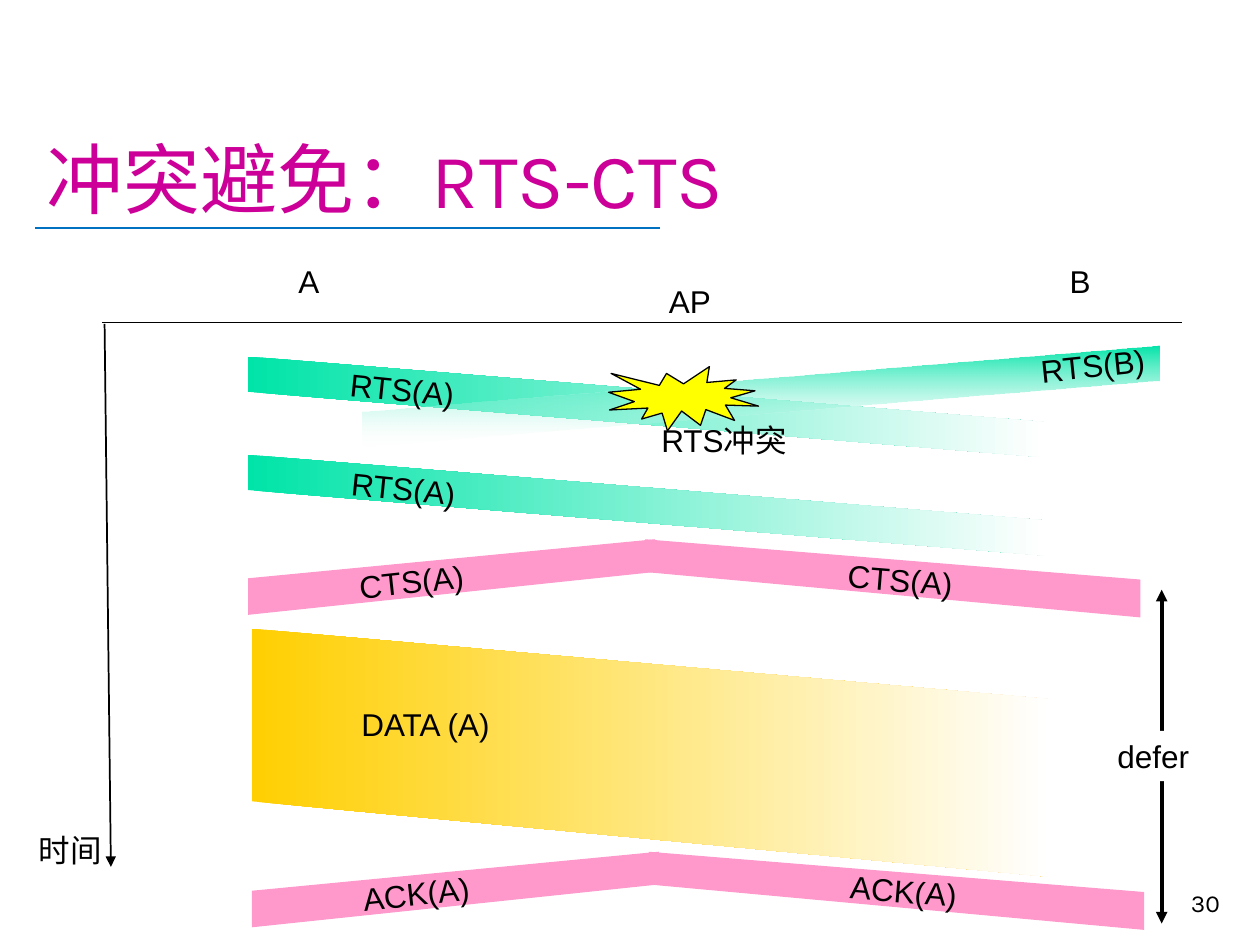
from dataclasses import dataclass
from typing import Optional

from lxml import etree
from pptx import Presentation, util as u
from pptx.dml.color import RGBColor
from pptx.enum import shapes as s, text as t
from pptx.oxml.ns import qn

PX = 9144  # EMU per px, 100 px to the inch

BLACK = RGBColor(0x00, 0x00, 0x00)
WHITE = RGBColor(0xFF, 0xFF, 0xFF)
MAGENTA = RGBColor(0xCC, 0x00, 0x99)
BLUE = RGBColor(0x00, 0x70, 0xC0)
GREEN = RGBColor(0x00, 0xE4, 0xA8)
GOLD = RGBColor(0xFF, 0xCF, 0x01)
PINK = RGBColor(0xFF, 0x99, 0xCC)
YELLOW = RGBColor(0xFF, 0xFF, 0x00)


@dataclass
class Label:
    words: str
    left: int
    top: int
    width: int
    turn: float = 0
    wrap: bool = False


@dataclass
class Frame:
    """A slanted band between two stations; each side is (x, top, bottom)."""
    sender: tuple
    receiver: tuple
    color: RGBColor
    fade_angle: Optional[int] = None
    end_alpha: Optional[int] = None  # percent


@dataclass
class Line:
    start: tuple
    end: tuple
    color: RGBColor
    weight: float
    head: bool = False
    tail: bool = False


def style(paragraph, size: int, font: str, color: RGBColor) -> None:
    for run in paragraph.runs:
        run.font.size = u.Pt(size)
        run.font.name = font
        run.font.color.rgb = color


def draw_label(slide, label: Label):
    box = slide.shapes.add_textbox(label.left * PX, label.top * PX,
                                   label.width * PX, 40 * PX)
    box.rotation = label.turn
    frame = box.text_frame
    frame.word_wrap = label.wrap
    frame.auto_size = t.MSO_AUTO_SIZE.SHAPE_TO_FIT_TEXT
    frame.text = label.words
    style(frame.paragraphs[0], 18, "Arial", BLACK)
    return box


def draw_frame(slide, frame: Frame) -> None:
    (x1, top1, bottom1), (x2, top2, bottom2) = frame.sender, frame.receiver
    builder = slide.shapes.build_freeform(x1, top1, scale=PX)
    builder.add_line_segments([(x2, top2), (x2, bottom2), (x1, bottom1)])
    band = builder.convert_to_shape()
    band.shadow.inherit = False
    band.line.fill.background()
    if frame.fade_angle is None:
        band.fill.solid()
        band.fill.fore_color.rgb = frame.color
        return
    band.fill.gradient()
    band.fill.gradient_angle = frame.fade_angle
    for stop, color, position in zip(band.fill.gradient_stops,
                                     (frame.color, WHITE), (0, 1)):
        stop.color.rgb = color
        stop.position = position
    if frame.end_alpha is not None:
        last_color = list(band._element.spPr.iter(qn("a:srgbClr")))[-1]
        etree.SubElement(last_color, qn("a:alpha"), val=str(frame.end_alpha * 1000))


def draw_line(slide, line: Line) -> None:
    (x1, y1), (x2, y2) = line.start, line.end
    connector = slide.shapes.add_connector(
        s.MSO_CONNECTOR.STRAIGHT, x1 * PX, y1 * PX, x2 * PX, y2 * PX)
    connector.line.color.rgb = line.color
    connector.line.width = u.Pt(line.weight)
    ln = connector.line._get_or_add_ln()
    for tag, wanted in (("a:headEnd", line.head), ("a:tailEnd", line.tail)):
        if wanted:
            etree.SubElement(ln, qn(tag), type="triangle")
    etree.SubElement(connector._element.spPr, qn("a:effectLst"))


def draw_title(slide) -> None:
    title = slide.shapes.title
    title.left, title.top, title.width, title.height = (
        n * PX for n in (27, 23, 951, 160))
    frame = title.text_frame
    frame.text = "冲突避免：RTS-CTS"
    frame.auto_size = t.MSO_AUTO_SIZE.NONE
    frame.vertical_anchor = t.MSO_ANCHOR.BOTTOM
    frame.paragraphs[0].alignment = t.PP_ALIGN.LEFT
    style(frame.paragraphs[0], 44, "Karla", MAGENTA)


def draw_page_number(slide) -> None:
    box = slide.shapes.add_textbox(770 * PX, 683 * PX, 208 * PX, 50 * PX)
    frame = box.text_frame
    frame.word_wrap = True
    frame.vertical_anchor = t.MSO_ANCHOR.BOTTOM
    frame.text = "30"
    frame.paragraphs[0].alignment = t.PP_ALIGN.RIGHT
    style(frame.paragraphs[0], 14, "Karla", BLACK)


def draw_collision(slide) -> None:
    burst = slide.shapes.add_shape(s.MSO_SHAPE.EXPLOSION1, 483 * PX, 291 * PX,
                                   119 * PX, 51 * PX)
    burst.shadow.inherit = False
    burst.fill.solid()
    burst.fill.fore_color.rgb = YELLOW
    burst.line.color.rgb = BLACK
    burst.line.width = u.Pt(0.75)


def answer(top: int, left: int) -> list[Frame]:
    """The AP's reply, spreading from the middle to both stations."""
    return [
        Frame((left + 315, top, top + 26), (left + 708, top + 32, top + 62), PINK),
        Frame((left + 323, top, top + 26), (left, top + 31, top + 60), PINK),
    ]


FRAMES = [
    Frame((197, 283, 311), (829, 335, 363), GREEN, 0),
    Frame((920, 274, 302), (288, 326, 354), GREEN, 270, 6),
    Frame((197, 361, 389), (829, 413, 441), GREEN, 0),
    *answer(428, 197),
    Frame((200, 499, 636), (834, 555, 696), GOLD, 0),
    *answer(676, 200),
]
LINES = [
    Line((28, 181), (524, 181), BLUE, 1.25),  # title rule
    Line((83, 257), (88, 688), BLACK, 1, tail=True),  # time axis
    Line((81, 256), (938, 256), BLACK, 0.75),  # station axis
    Line((922, 468), (922, 733), BLACK, 2.25, head=True, tail=True),  # defer
]
LABELS = [
    Label("AP", 521, 219, 54),
    Label("A", 227, 203, 38),
    Label("B", 839, 203, 37),
    Label("时间", 21, 655, 71),
    Label("RTS(A)", 268, 289, 107, 5.9),
    Label("RTS(B)", 816, 270, 104, 354.1),
    Label("RTS(A)", 269, 368, 107, 5.9),
    Label("CTS(A)", 275, 441, 106, 353.7),
    Label("CTS(A)", 663, 440, 106, 4.6),
    Label("DATA (A)", 277, 555, 197, wrap=True),
    Label("ACK(A)", 278, 689, 105, 353.7),
    Label("ACK(A)", 665, 687, 105, 4.6),
    Label("RTS冲突", 515, 329, 309, wrap=True),
]


def main() -> None:
    deck = Presentation()
    deck.slide_width, deck.slide_height = 1000 * PX, 750 * PX
    slide = deck.slides.add_slide(deck.slide_layouts[5])

    draw_title(slide)
    draw_page_number(slide)

    # Frames on the air, then the axes and captions over them
    for frame in FRAMES:
        draw_frame(slide, frame)
    for line in LINES:
        draw_line(slide, line)
    draw_collision(slide)
    for label in LABELS:
        draw_label(slide, label)

    # The defer caption breaks its arrow
    defer = draw_label(slide, Label("defer", 877, 580, 78))
    defer.fill.solid()
    defer.fill.fore_color.rgb = WHITE

    deck.save("out.pptx")


if __name__ == "__main__":
    main()
